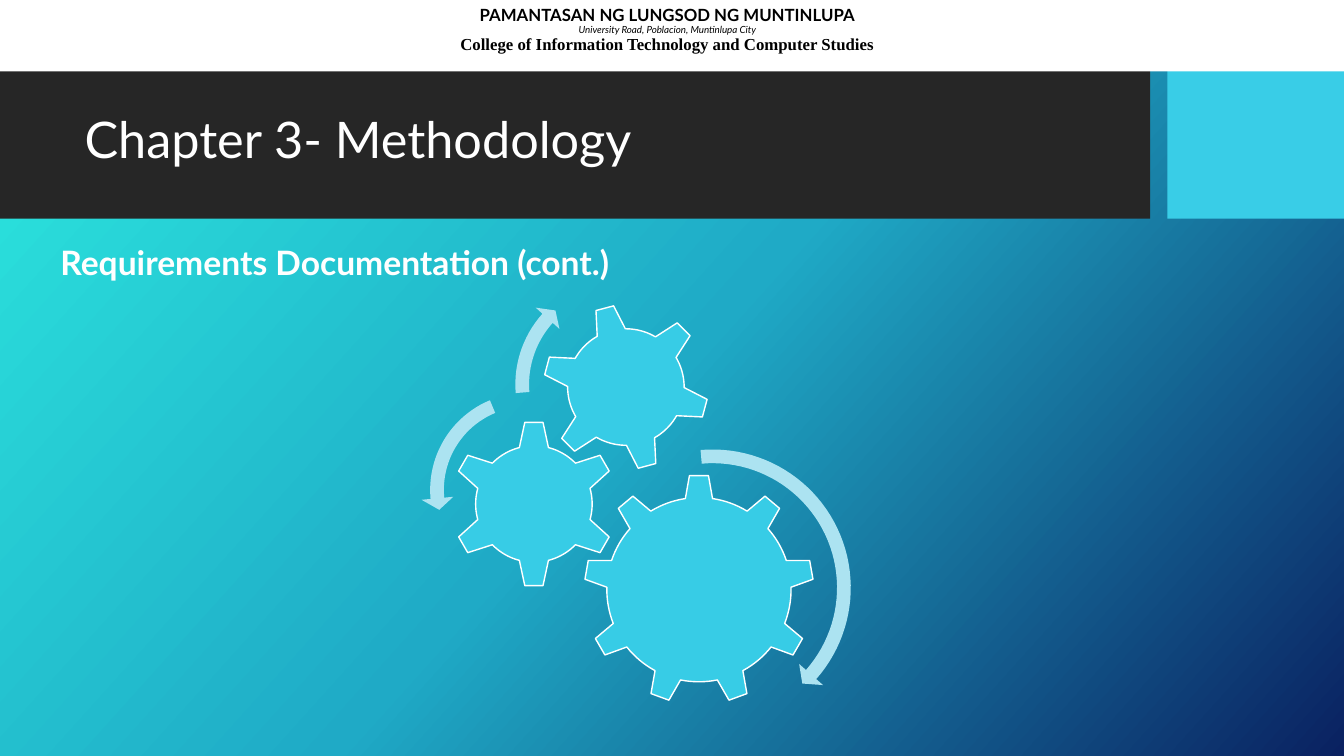
from copy import deepcopy
from dataclasses import dataclass
from math import asin, cos, hypot, pi, radians, sin

from pptx import Presentation
from pptx.dml.color import RGBColor
from pptx.enum.shapes import MSO_SHAPE
from pptx.enum.text import MSO_ANCHOR, PP_ALIGN
from pptx.shapes.autoshape import Shape
from pptx.slide import Slide
from pptx.text.text import TextFrame
from pptx.util import Pt

WHITE = RGBColor(0xFF, 0xFF, 0xFF)
BLACK = RGBColor(0x00, 0x00, 0x00)
DARK = RGBColor(0x26, 0x26, 0x26)
CYAN = RGBColor(0x39, 0xCD, 0xE7)
TEAL = RGBColor(0x37, 0xCC, 0xE6)
PALE = RGBColor(0xAC, 0xE3, 0xF1)
STOPS = [
    (0, RGBColor(0x2C, 0xEA, 0xE0)),
    (0.5, RGBColor(0x1F, 0xAA, 0xC6)),
    (1, RGBColor(0x0A, 0x21, 0x61)),
]
Point = tuple[float, float]


@dataclass
class Box:
    left: float
    top: float
    width: float
    height: float

    def spot(self) -> list[Pt]:
        return [Pt(v) for v in (self.left, self.top, self.width, self.height)]


@dataclass
class Span:
    text: str
    size: float
    color: RGBColor
    bold: bool = False
    slant: bool = False
    font: str = "Lato"


@dataclass
class Gear:
    x: float
    y: float
    teeth: int
    body: float  # radius of the round body
    tip: float  # distance from centre to the flat tooth top
    root: float  # half width of a tooth at the body
    edge: float  # half width of a tooth at its top
    turn: float = 0


@dataclass
class Arc:
    x: float
    y: float
    radius: float
    start: float  # degrees clockwise from the top
    end: float
    point: float


GEARS = [
    Gear(499.3, 421.2, 9, 65.8, 81.5, 9.7, 6.8),
    Gear(381.4, 360, 6, 41.6, 58.3, 10.4, 6.5),
    Gear(447.1, 276.5, 6, 41.6, 58.3, 10.4, 6.5, -15),
]
ARCS = [
    Arc(509, 419.8, 93.8, -5, 131.4, 136.9),
    Arc(376.6, 349.9, 64.4, -22.6, -95.4, -102.8),
    Arc(443.9, 274.7, 70.9, -94.6, -48.1, -41.7),
]
BAND, HEAD = 4.9, 11.4  # half widths of an arc and its arrowhead


def polar(x: float, y: float, radius: float, angle: float) -> Point:
    return x + radius * sin(angle), y - radius * cos(angle)


def sweep(x: float, y: float, radius: float, start: float, end: float) -> list[Point]:
    count = max(4, round(abs(end - start) * 180 / pi / 3))
    return [polar(x, y, radius, start + (end - start) * i / count) for i in range(count + 1)]


def plain(shape: Shape, fill: RGBColor) -> None:
    shape.shadow.inherit = False
    shape.fill.solid()
    shape.fill.fore_color.rgb = fill
    shape.line.fill.background()


def bar(slide: Slide, box: Box, fill: RGBColor) -> Shape:
    shape = slide.shapes.add_shape(MSO_SHAPE.RECTANGLE, *box.spot())
    plain(shape, fill)
    return shape


def outline(slide: Slide, points: list[Point], fill: RGBColor) -> Shape:
    places = [(Pt(x), Pt(y)) for x, y in points]
    path = slide.shapes.build_freeform(*places[0], scale=1.0)
    path.add_line_segments(places[1:], close=True)
    shape = path.convert_to_shape()
    plain(shape, fill)
    return shape


def write(frame: TextFrame, rows: list[list[Span]], align: PP_ALIGN, anchor: MSO_ANCHOR) -> None:
    frame.word_wrap = True
    frame.vertical_anchor = anchor
    for i, row in enumerate(rows):
        para = frame.paragraphs[0] if i == 0 else frame.add_paragraph()
        para.alignment = align
        para.line_spacing = 0.9
        for j, span in enumerate(row):
            if j:
                para.add_line_break()
            run = para.add_run()
            run.text = span.text
            font = run.font
            font.name, font.size = span.font, Pt(span.size)
            font.bold, font.italic = span.bold, span.slant
            font.color.rgb = span.color


def label(slide: Slide, box: Box, span: Span, anchor: MSO_ANCHOR) -> None:
    text = slide.shapes.add_textbox(*box.spot())
    write(text.text_frame, [[span]], PP_ALIGN.LEFT, anchor)


def cog(slide: Slide, gear: Gear) -> None:
    step = 2 * pi / gear.teeth
    half = asin(gear.root / gear.body)
    reach, lean = hypot(gear.tip, gear.edge), asin(gear.edge / hypot(gear.tip, gear.edge))
    points = []
    for i in range(gear.teeth):
        mid = radians(gear.turn) + i * step
        points += [polar(gear.x, gear.y, reach, mid + side * lean) for side in (-1, 1)]
        points += sweep(gear.x, gear.y, gear.body, mid + half, mid + step - half)
    shape = outline(slide, points, TEAL)
    shape.line.color.rgb = WHITE
    shape.line.width = Pt(1)


def swing(slide: Slide, arc: Arc) -> None:
    start, end, point = (radians(v) for v in (arc.start, arc.end, arc.point))
    points = sweep(arc.x, arc.y, arc.radius + BAND, start, end)
    points += [
        polar(arc.x, arc.y, arc.radius + HEAD, end),
        polar(arc.x, arc.y, arc.radius, point),
        polar(arc.x, arc.y, arc.radius - HEAD, end),
    ]
    points += sweep(arc.x, arc.y, arc.radius - BAND, end, start)
    outline(slide, points, PALE)


def backdrop(slide: Slide) -> None:
    fill = slide.background.fill
    fill.gradient()
    fill.gradient_angle = 318
    stops = slide.element.xpath(".//a:gsLst")[0]
    stops.append(deepcopy(stops[-1]))
    for stop, (place, color) in zip(fill.gradient_stops, STOPS):
        stop.position = place
        stop.color.rgb = color


def main() -> None:
    deck = Presentation()
    deck.slide_width, deck.slide_height = Pt(960), Pt(540)
    slide = deck.slides.add_slide(deck.slide_layouts[6])
    backdrop(slide)

    # Title band
    bar(slide, Box(0, 48.2, 821.5, 108), DARK)
    bar(slide, Box(833.8, 48.2, 126.2, 108), CYAN)
    label(slide, Box(53.3, 59, 756.7, 85), Span("Chapter 3- Methodology", 36, WHITE), MSO_ANCHOR.MIDDLE)
    label(slide, Box(36, 172.8, 446.4, 44.6),
          Span("Requirements Documentation (cont.)", 24, WHITE, bold=True), MSO_ANCHOR.TOP)

    # School header
    header = bar(slide, Box(-12.2, -3.6, 977.8, 54.7), WHITE).text_frame
    header.margin_bottom = Pt(12.4)
    write(header, [
        [Span("PAMANTASAN NG LUNGSOD NG MUNTINLUPA", 12, BLACK, bold=True),
         Span("University Road, Poblacion, Muntinlupa City", 7, BLACK, slant=True)],
        [Span("College of Information Technology and Computer Studies", 12, BLACK,
              bold=True, font="Times New Roman")],
    ], PP_ALIGN.CENTER, MSO_ANCHOR.BOTTOM)

    # Gears and turning arrows
    for gear in GEARS:
        cog(slide, gear)
    for arc in ARCS:
        swing(slide, arc)

    deck.save("out.pptx")


if __name__ == "__main__":
    main()
